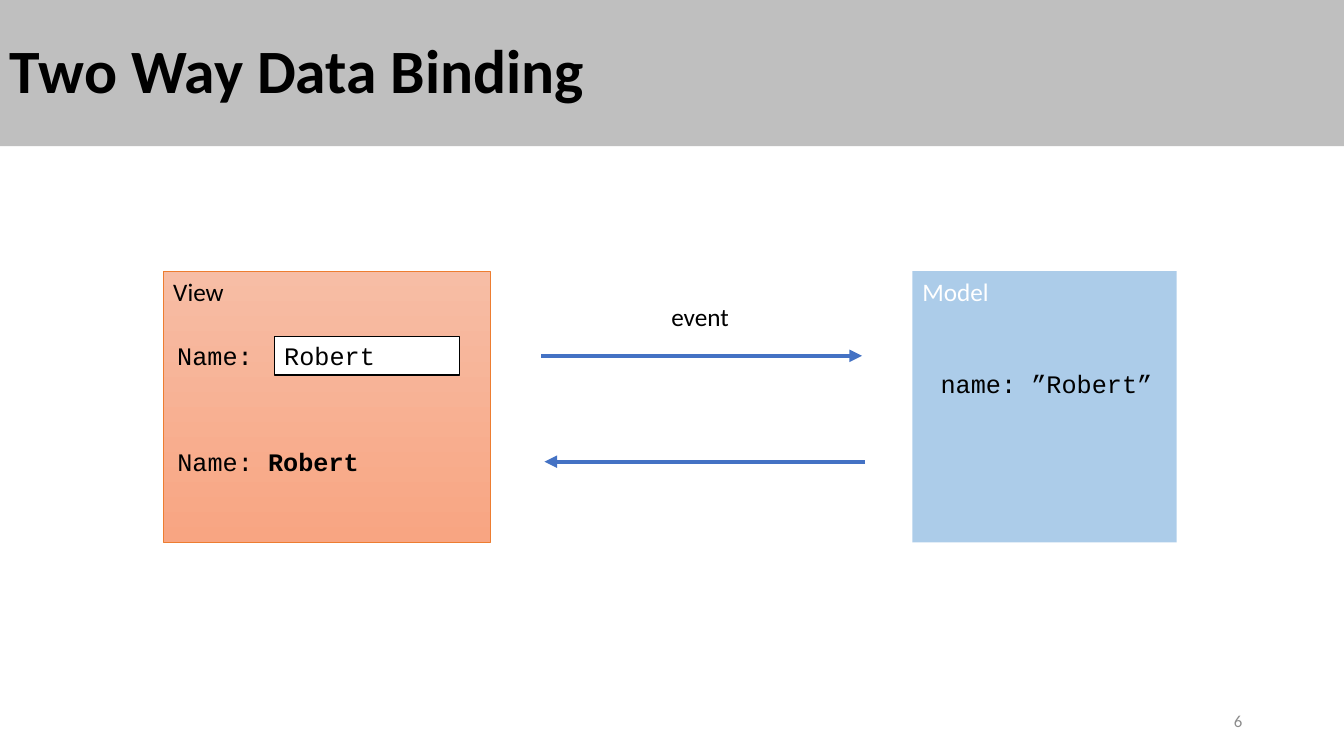
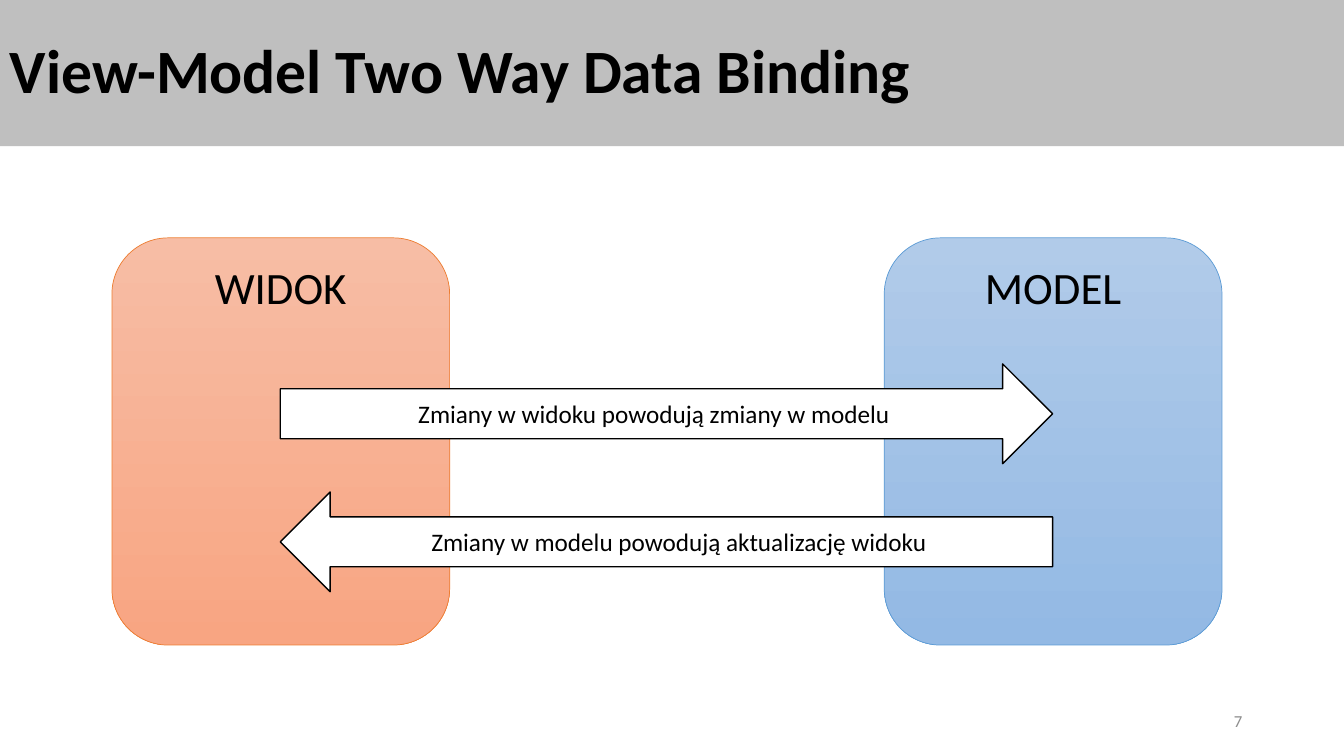
from dataclasses import dataclass

from lxml.etree import SubElement
from pptx import Presentation
from pptx.dml.color import RGBColor
from pptx.enum.shapes import MSO_CONNECTOR, MSO_SHAPE
from pptx.enum.text import MSO_ANCHOR, PP_ALIGN
from pptx.oxml.ns import qn
from pptx.util import Inches, Pt


@dataclass(frozen=True)
class Theme:
    black: str = "000000"
    white: str = "FFFFFF"
    band: str = "BFBFBF"
    muted: str = "8C8C8C"
    arrow: str = "4472C4"
    blue: str = "5B9BD5"
    orange: str = "ED7D31"
    orange_fade: tuple = ("F7BDA5", "F8A582")
    blue_fade: tuple = ("B1CBE9", "93B9E4")
    font: str = "Calibri"
    code_font: str = "Courier New"
    title_size: int = 44
    panel_size: int = 32
    body_size: int = 18
    number_size: int = 12


THEME = Theme()


def add_box(slide, bounds, text="", bold_text="", kind=None, fill=None, line=None,
            line_width=1, size=THEME.body_size, font=THEME.font, color=THEME.black,
            align=PP_ALIGN.LEFT, anchor=MSO_ANCHOR.TOP, wrap=True):
    """Add a text box, or a shape if kind is given; a pair of fill colours is a gradient."""
    lengths = [Inches(value) for value in bounds]
    if kind is None:
        box = slide.shapes.add_textbox(*lengths)
    else:
        box = slide.shapes.add_shape(kind, *lengths)
        box.shadow.inherit = False
        if isinstance(fill, tuple):
            box.fill.gradient()
            box.fill.gradient_angle = 270
            for stop, shade in zip(box.fill.gradient_stops, fill):
                stop.color.rgb = RGBColor.from_string(shade)
        else:
            box.fill.solid()
            box.fill.fore_color.rgb = RGBColor.from_string(fill)
        if line:
            box.line.color.rgb = RGBColor.from_string(line)
            box.line.width = Pt(line_width)
        else:
            box.line.fill.background()

    frame = box.text_frame
    frame.word_wrap = wrap
    frame.vertical_anchor = anchor
    para = frame.paragraphs[0]
    para.alignment = align
    for part, bold in ((text, False), (bold_text, True)):
        if part:
            span = para.add_run()
            span.text = part
            span.font.name = font
            span.font.size = Pt(size)
            span.font.bold = bold
            span.font.color.rgb = RGBColor.from_string(color)
    return box


def add_titled_slide(deck, title, number):
    slide = deck.slides.add_slide(deck.slide_layouts[6])
    band = add_box(slide, (0, 0, 13.33, 1.45), bold_text=title, kind=MSO_SHAPE.RECTANGLE,
                   fill=THEME.band, size=THEME.title_size, anchor=MSO_ANCHOR.MIDDLE)
    band.text_frame.paragraphs[0].line_spacing = 0.9
    add_box(slide, (9.42, 6.95, 3, 0.4), str(number), size=THEME.number_size,
            color=THEME.muted, align=PP_ALIGN.RIGHT, anchor=MSO_ANCHOR.MIDDLE)
    return slide


deck = Presentation()
deck.slide_width = Inches(13.33)
deck.slide_height = Inches(7.5)

# Slide 6: a form and the object it is bound to
slide = add_titled_slide(deck, "Two Way Data Binding", 6)
model = add_box(slide, (9.05, 2.69, 2.62, 2.69), "Model", kind=MSO_SHAPE.RECTANGLE,
                fill=THEME.blue, color=THEME.white)
model_color = model.fill._xPr.find(qn("a:solidFill"))[0]
SubElement(model_color, qn("a:alpha"), val="50000")
add_box(slide, (1.62, 2.69, 3.24, 2.69), "View", kind=MSO_SHAPE.RECTANGLE,
        fill=THEME.orange_fade, line=THEME.orange, line_width=0.5)

add_box(slide, (1.66, 3.33, 1.03, 0.4), "Name:", font=THEME.code_font)
add_box(slide, (2.72, 3.34, 1.84, 0.38), "Robert", kind=MSO_SHAPE.RECTANGLE,
        fill=THEME.white, line=THEME.black, font=THEME.code_font, anchor=MSO_ANCHOR.MIDDLE)
add_box(slide, (1.66, 4.38, 2.01, 0.4), "Name: ", "Robert", font=THEME.code_font, wrap=False)
add_box(slide, (9.23, 3.61, 2.31, 0.4), "name: ”Robert”", font=THEME.code_font, wrap=False)
add_box(slide, (6.56, 2.94, 0.78, 0.4), "event", wrap=False)

for start, end, y in ((5.37, 8.55, 3.53), (8.58, 5.4, 4.58)):
    arrow = slide.shapes.add_connector(
        MSO_CONNECTOR.STRAIGHT, Inches(start), Inches(y), Inches(end), Inches(y))
    arrow.line.color.rgb = RGBColor.from_string(THEME.arrow)
    arrow.line.width = Pt(3)
    SubElement(arrow.line._get_or_add_ln(), qn("a:tailEnd"), type="triangle")
    SubElement(arrow._element.spPr, qn("a:effectLst"))

# Slide 7: changes pass both ways
slide = add_titled_slide(deck, "View-Model Two Way Data Binding", 7)
for left, label, fade, line in (
    (8.77, "MODEL", THEME.blue_fade, THEME.blue),
    (1.11, "WIDOK", THEME.orange_fade, THEME.orange),
):
    add_box(slide, (left, 2.36, 3.35, 4.04), label, kind=MSO_SHAPE.ROUNDED_RECTANGLE,
            fill=fade, line=line, line_width=0.5, size=THEME.panel_size,
            align=PP_ALIGN.CENTER)

for top, kind, label in (
    (3.61, MSO_SHAPE.RIGHT_ARROW, "Zmiany w widoku powodują zmiany w modelu"),
    (4.88, MSO_SHAPE.LEFT_ARROW, "Zmiany w modelu powodują aktualizację widoku"),
):
    add_box(slide, (2.78, top, 7.66, 0.99), label, kind=kind, fill=THEME.white,
            line=THEME.black, align=PP_ALIGN.CENTER, anchor=MSO_ANCHOR.MIDDLE)

deck.save("out.pptx")
